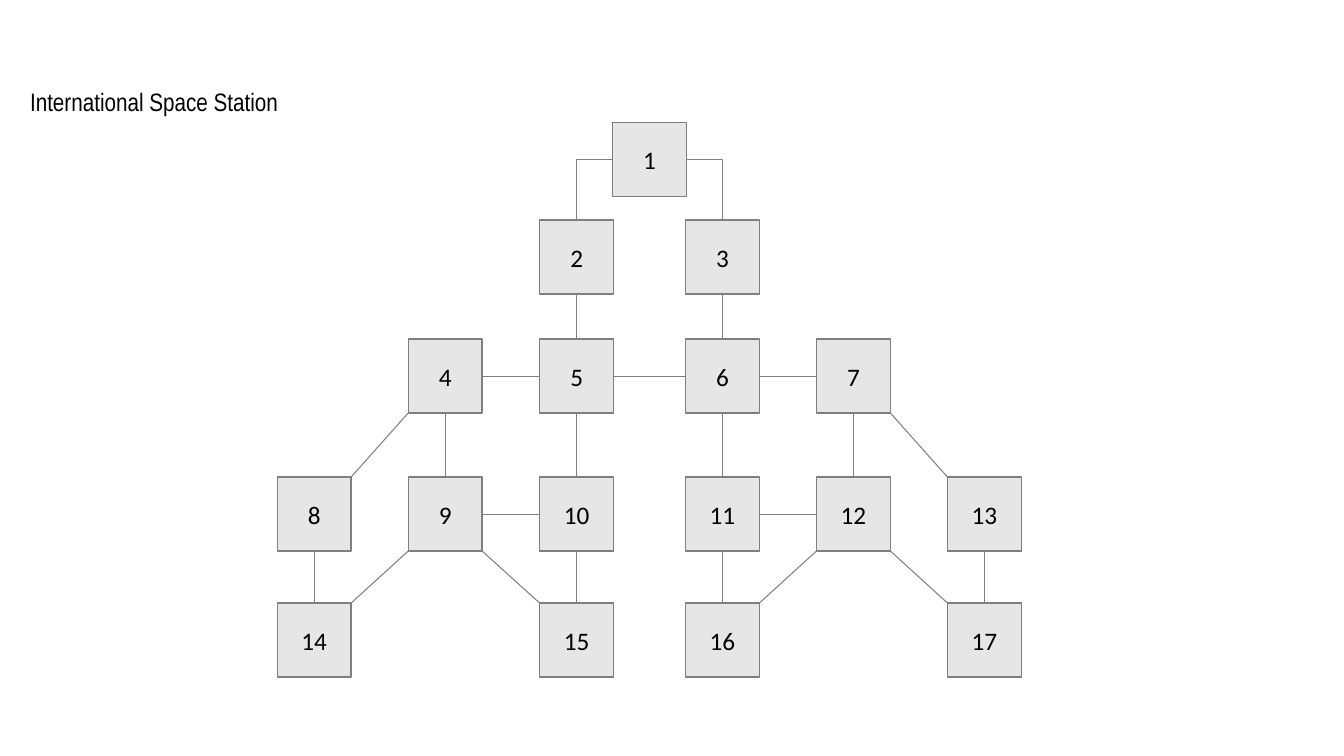
from lxml.etree import SubElement
from pptx import Presentation
from pptx.dml.color import RGBColor
from pptx.enum.shapes import MSO_CONNECTOR as Connector, MSO_SHAPE as Shape
from pptx.enum.text import MSO_ANCHOR as Anchor, PP_ALIGN as Align
from pptx.oxml.ns import qn
from pptx.util import Pt

TOP, LEFT, BOTTOM, RIGHT = range(4)
SIZE = 52.8
COLUMNS = [198, 291.6, 385.5, 489.6, 583.2, 676.8]
ROWS = [87.6, 157.2, 242.2, 340.8, 430.8]
CENTRE_LEFT = (COLUMNS[2] + COLUMNS[3]) / 2

# The columns occupied by modules in each row below the first
MODULE_COLUMNS = [[2, 3], [1, 2, 3, 4], [0, 1, 2, 3, 4, 5], [0, 2, 3, 5]]

ELBOWS = [(1, LEFT, 2), (1, RIGHT, 3)]
VERTICALS = [(2, 5), (3, 6), (4, 9), (5, 10), (6, 11), (7, 12),
             (8, 14), (10, 15), (11, 16), (13, 17)]
HORIZONTALS = [(4, 5), (5, 6), (6, 7), (9, 10), (11, 12)]
DIAGONALS = [(4, 8), (7, 13), (9, 14), (9, 15), (12, 16), (12, 17)]


def color(value):
    return RGBColor.from_string(value)


def write(frame, text, font="Calibri", size=18, ink="000000",
          align=Align.LEFT, anchor=Anchor.TOP):
    frame.word_wrap = True
    frame.vertical_anchor = anchor
    paragraph = frame.paragraphs[0]
    paragraph.alignment = align
    run = paragraph.add_run()
    run.text = text
    run.font.name = font
    run.font.size = Pt(size)
    run.font.color.rgb = color(ink)


class Diagram:
    fill = "E7E6E6"
    line = "7F7F7F"

    def __init__(self, slide):
        self.shapes = slide.shapes

    def title(self, text, left, top, width, height):
        box = self.shapes.add_textbox(Pt(left), Pt(top), Pt(width), Pt(height))
        write(box.text_frame, text, font="Arial Narrow")

    def module(self, number, left, top):
        shape = self.shapes.add_shape(Shape.RECTANGLE, Pt(left), Pt(top), Pt(SIZE), Pt(SIZE))
        shape.shadow.inherit = False
        shape.fill.solid()
        shape.fill.fore_color.rgb = color(self.fill)
        shape.line.color.rgb = color(self.line)
        shape.line.width = Pt(1)
        write(shape.text_frame, str(number), align=Align.CENTER, anchor=Anchor.MIDDLE)
        return shape

    def connector(self, kind, x1=0, y1=0, x2=0, y2=0):
        connector = self.shapes.add_connector(kind, x1, y1, x2, y2)
        connector.line.color.rgb = color(self.line)
        connector.line.width = Pt(0.75)
        SubElement(connector._element.spPr, qn("a:effectLst"))
        return connector

    def link(self, start, start_side, end, end_side, kind=Connector.STRAIGHT):
        """Join the middles of two module sides."""
        connector = self.connector(kind)
        connector.begin_connect(start, start_side)
        connector.end_connect(end, end_side)
        return connector

    def elbow(self, start, side, end):
        """Leave a side of start and turn once down to the top of end."""
        connector = self.link(start, side, end, TOP, Connector.ELBOW)
        connector._element.spPr.find(qn("a:prstGeom")).set("prst", "bentConnector2")

    def diagonal(self, upper, lower):
        """Join the facing corners of two modules."""
        x1, x2 = upper.left, lower.left
        if x1 < x2:
            x1 += upper.width
        else:
            x2 += lower.width
        self.connector(Connector.STRAIGHT, x1, upper.top + upper.height, x2, lower.top)


def main():
    presentation = Presentation()
    presentation.slide_width = Pt(960)
    presentation.slide_height = Pt(540)
    diagram = Diagram(presentation.slides.add_slide(presentation.slide_layouts[6]))

    positions = [(CENTRE_LEFT, ROWS[0])]
    for top, columns in zip(ROWS[1:], MODULE_COLUMNS):
        positions += [(COLUMNS[column], top) for column in columns]
    modules = {number: diagram.module(number, left, top)
               for number, (left, top) in enumerate(positions, start=1)}

    for start, side, end in ELBOWS:
        diagram.elbow(modules[start], side, modules[end])
    for upper, lower in VERTICALS:
        diagram.link(modules[upper], BOTTOM, modules[lower], TOP)
    for left, right in HORIZONTALS:
        diagram.link(modules[left], RIGHT, modules[right], LEFT)
    for upper, lower in DIAGONALS:
        diagram.diagonal(modules[upper], modules[lower])

    diagram.title("International Space Station", 14.4, 58.4, 194.4, 29)
    presentation.save("out.pptx")


if __name__ == "__main__":
    main()
